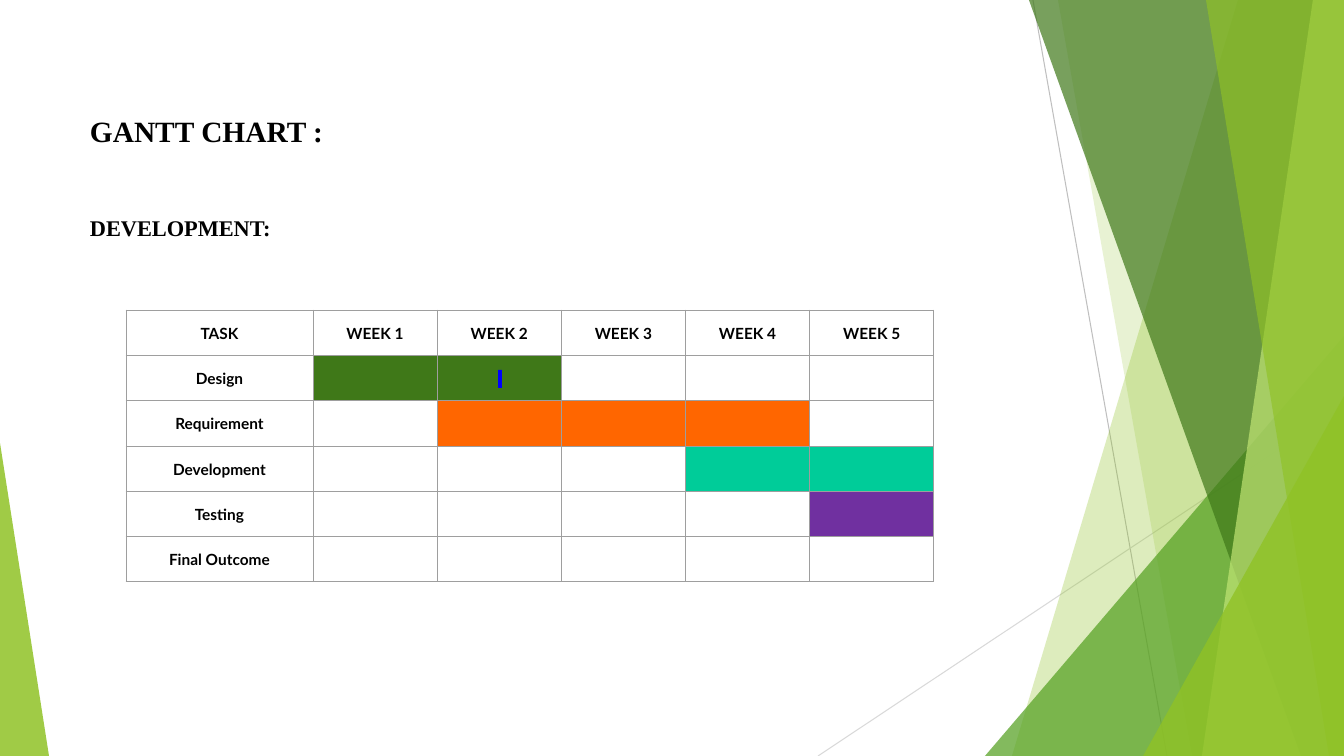
from lxml import etree
from pptx import Presentation
from pptx import util as u
from pptx.dml.color import RGBColor
from pptx.enum import shapes, text
from pptx.oxml.ns import qn

PX = 914400 / 100.8
WIDE, HIGH = 1344, 756

# start x, start y, end x, end y, colour
LINES = [(1033, 0, 1167, HIGH, "BFBFBF"), (WIDE, 406, 818, HIGH, "D9D9D9")]
# Bands reach the right edge: kind, top x, bottom x, colour, opacity
# Triangles: kind, (left, top, width, height), apex, colour, opacity
DECOR = [
    ("band", 1238, 1012, "90C226", 30),
    ("band", 1058, 1192, "90C226", 20),
    ("tri", (985, 336, 359, 420), 1, "54A021", 72),
    ("band", 1029, 1301, "3F7819", 70),
    ("band", 1313, 1202, "C0E474", 70),
    ("band", 1206, 1329, "90C226", 65),
    ("tri", (1143, 396, 201, 360), 1, "90C226", 80),
    ("tri", (0, 443, 49, 313), 0, "90C226", 85),
]
# words, top, size
HEADS = [("GANTT CHART :", 111, 21), ("DEVELOPMENT:", 208, 16)]
# task, first week, last week, colour
TASKS = [
    ("Design", 1, 2, "3F7818"),
    ("Requirement", 2, 4, "FF6600"),
    ("Development", 4, 5, "00CC99"),
    ("Testing", 5, 5, "7030A0"),
    ("Final Outcome", 0, 0, "FFFFFF"),
]
WEEKS = 5
GRID = (126, 310, 808, 272)
FIRST = 187
CURSOR = (498, 370, 4, 18)


def px(*vals):
    return [u.Emu(round(v * PX)) for v in vals]


def rgb(code):
    return RGBColor.from_string(code)


def paint(shape, code, alpha=100):
    shape.shadow.inherit = False
    shape.line.fill.background()
    shape.fill.solid()
    shape.fill.fore_color.rgb = rgb(code)
    if alpha < 100:
        clr = shape.fill._xPr.find(".//" + qn("a:srgbClr"))
        etree.SubElement(clr, qn("a:alpha")).set("val", str(alpha * 1000))


def style(para, face, size):
    font = para.font
    font.name, font.size, font.bold = face, u.Pt(size), True
    font.color.rgb = rgb("000000")


def border(cell):
    """Draw all four cell edges; they must precede the cell fill."""
    props = cell._tc.get_or_add_tcPr()
    for tag in ("lnL", "lnR", "lnT", "lnB"):
        edge = etree.SubElement(props, qn("a:" + tag), w=str(u.Pt(0.75)))
        fill = etree.SubElement(edge, qn("a:solidFill"))
        etree.SubElement(fill, qn("a:srgbClr"), val="9E9E9E")


def fill_cell(cell, words, code):
    border(cell)
    cell.fill.solid()
    cell.fill.fore_color.rgb = rgb(code)
    cell.vertical_anchor = text.MSO_ANCHOR.MIDDLE
    cell.margin_left = cell.margin_right = cell.margin_top = u.Inches(0.01)
    cell.margin_bottom = 0
    cell.text = words
    para = cell.text_frame.paragraphs[0]
    para.alignment = text.PP_ALIGN.CENTER
    style(para, "Lato", 11)


def add_decor(tree):
    for *ends, code in LINES:
        line = tree.add_connector(shapes.MSO_CONNECTOR.STRAIGHT, *px(*ends))
        line.line.color.rgb = rgb(code)
        line.line.width = u.Pt(0.75)
        etree.SubElement(line._element.spPr, qn("a:effectLst"))
    for kind, a, b, code, alpha in DECOR:
        if kind == "band":
            pen = tree.build_freeform(a, 0, scale=PX)
            pen.add_line_segments([(WIDE, 0), (WIDE, HIGH), (b, HIGH)])
            shape = pen.convert_to_shape()
        else:
            kind = shapes.MSO_SHAPE.ISOSCELES_TRIANGLE
            shape = tree.add_shape(kind, *px(*a))
            shape.adjustments[0] = b
        paint(shape, code, alpha)


def add_heads(tree):
    for words, top, size in HEADS:
        frame = tree.add_textbox(*px(80, top, 900, 40)).text_frame
        frame.word_wrap = True
        frame.vertical_anchor = text.MSO_ANCHOR.MIDDLE
        frame.text = words
        style(frame.paragraphs[0], "Times New Roman", size)


def add_gantt(tree):
    count = len(TASKS) + 1
    table = tree.add_table(count, WEEKS + 1, *px(*GRID)).table
    wide, high = px((GRID[2] - FIRST) / WEEKS, GRID[3] / count)
    for col in table.columns:
        col.width = wide
    table.columns[0].width = px(FIRST)[0]
    for row in table.rows:
        row.height = high
    for week in range(WEEKS + 1):
        fill_cell(table.cell(0, week), f"WEEK {week}" if week else "TASK", "FFFFFF")
        for row, (task, start, end, code) in enumerate(TASKS, 1):
            busy = week and start <= week <= end
            fill_cell(table.cell(row, week), "" if week else task,
                      code if busy else "FFFFFF")


def main():
    deck = Presentation()
    deck.slide_width, deck.slide_height = px(WIDE, HIGH)
    tree = deck.slides.add_slide(deck.slide_layouts[6]).shapes
    add_decor(tree)
    add_heads(tree)
    add_gantt(tree)
    cursor = tree.add_shape(shapes.MSO_SHAPE.RECTANGLE, *px(*CURSOR))
    paint(cursor, "0000FF")
    deck.save("out.pptx")


if __name__ == "__main__":
    main()
